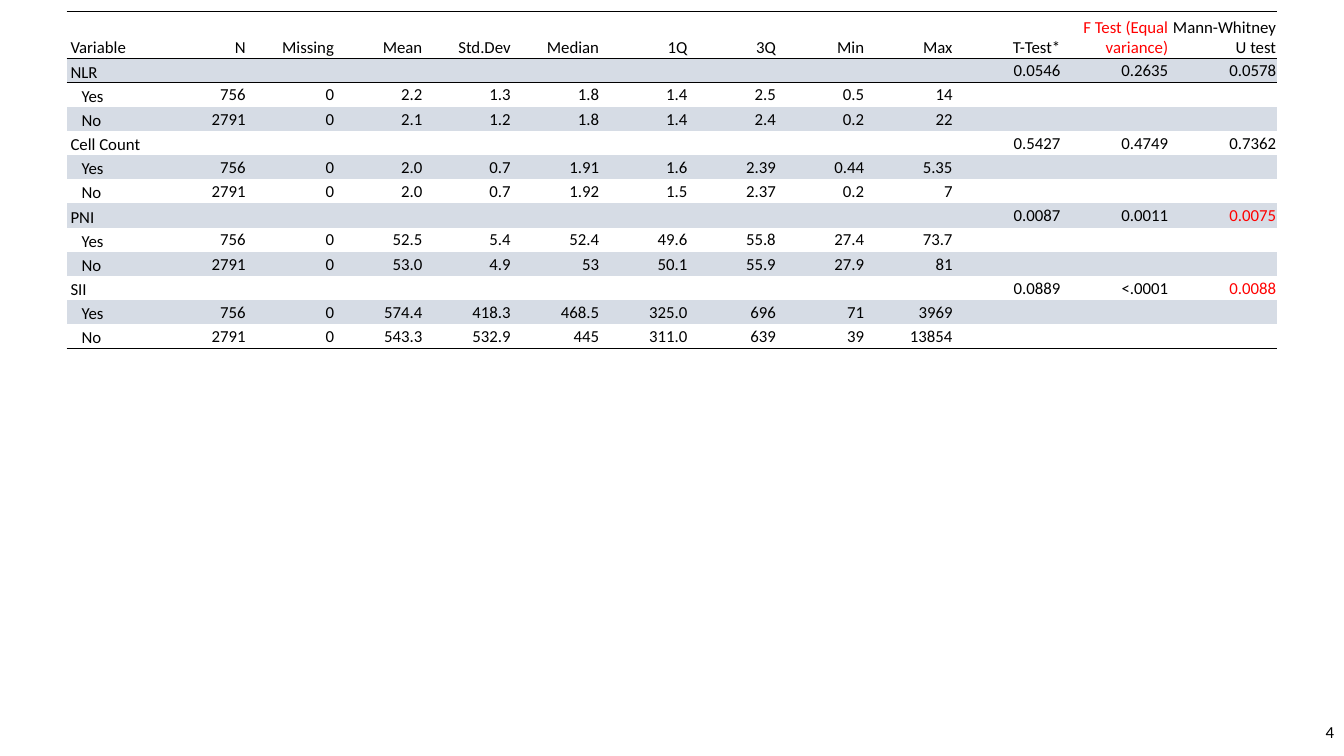
from lxml import etree
from pptx import Presentation
from pptx.dml.color import RGBColor
from pptx.enum.text import MSO_ANCHOR, PP_ALIGN
from pptx.oxml.ns import qn
from pptx.util import Inches, Pt

LEFT, RIGHT = PP_ALIGN.LEFT, PP_ALIGN.RIGHT
MIDDLE, BOTTOM = MSO_ANCHOR.MIDDLE, MSO_ANCHOR.BOTTOM
COLORS = {"text": "000000", "accent": "FF0000", "band": "D6DCE5"}
FONT_NAME = "Calibri"
FONT_SIZE = 12
PLAIN_STYLE = "{2D5ABB26-0587-4C30-8999-92F81FD0307C}"

HEADERS = [
    "Variable", "N", "Missing", "Mean", "Std.Dev", "Median", "1Q", "3Q",
    "Min", "Max", "T-Test*", "F Test (Equal variance)", "Mann-Whitney U test",
]
GROUPS = [
    ("NLR", ["0.0546", "0.2635", "0.0578"],
     ["756", "0", "2.2", "1.3", "1.8", "1.4", "2.5", "0.5", "14"],
     ["2791", "0", "2.1", "1.2", "1.8", "1.4", "2.4", "0.2", "22"]),
    ("Cell Count", ["0.5427", "0.4749", "0.7362"],
     ["756", "0", "2.0", "0.7", "1.91", "1.6", "2.39", "0.44", "5.35"],
     ["2791", "0", "2.0", "0.7", "1.92", "1.5", "2.37", "0.2", "7"]),
    ("PNI", ["0.0087", "0.0011", "0.0075"],
     ["756", "0", "52.5", "5.4", "52.4", "49.6", "55.8", "27.4", "73.7"],
     ["2791", "0", "53.0", "4.9", "53", "50.1", "55.9", "27.9", "81"]),
    ("SII", ["0.0889", "<.0001", "0.0088"],
     ["756", "0", "574.4", "418.3", "468.5", "325.0", "696", "71", "3969"],
     ["2791", "0", "543.3", "532.9", "445", "311.0", "639", "39", "13854"]),
]
ACCENTED = {"F Test (Equal variance)", "0.0075", "0.0088"}
TABLE_WIDTH, TABLE_HEIGHT = 12.01, 3.35
NAME_WIDTH, TEST_WIDTH = 0.91, 1.07
HEADER_HEIGHT = 0.47
STAT_COUNT, TEST_COUNT = 9, 3


def table_rows():
    rows = [HEADERS]
    for name, tests, yes, no in GROUPS:
        rows.append([name] + [""] * STAT_COUNT + tests)
        rows.append(["Yes"] + yes + [""] * TEST_COUNT)
        rows.append(["No"] + no + [""] * TEST_COUNT)
    return rows


def write_paragraph(para, text, align, color="text"):
    para.text = text
    para.alignment = align
    for span in para.runs:
        span.font.name = FONT_NAME
        span.font.size = Pt(FONT_SIZE)
        span.font.color.rgb = RGBColor.from_string(COLORS[color])
    if not text:
        etree.SubElement(para._p, qn("a:endParaRPr"), sz=str(FONT_SIZE * 100))


def add_border(cell, side):
    properties = cell._tc.get_or_add_tcPr()
    line = etree.SubElement(properties, qn("a:" + side), w=str(Pt(0.5)))
    fill = etree.SubElement(line, qn("a:solidFill"))
    etree.SubElement(fill, qn("a:srgbClr"), val=COLORS["text"])


def format_cell(cell, text, row, column, last_row):
    is_name = column == 0
    cell.margin_left = Inches(0.04 if is_name else 0.03)
    if text in ("Yes", "No"):
        cell.margin_left = Inches(0.15)
    cell.margin_right = cell.margin_top = Inches(0.01)
    cell.margin_bottom = 0
    cell.vertical_anchor = BOTTOM if is_name or row == 0 else MIDDLE
    write_paragraph(cell.text_frame.paragraphs[0], text,
                    LEFT if is_name else RIGHT,
                    "accent" if text in ACCENTED else "text")
    if row in (0, 1):
        add_border(cell, "lnT")
    if row in (0, last_row):
        add_border(cell, "lnB")
    if row % 2:
        cell.fill.solid()
        cell.fill.fore_color.rgb = RGBColor.from_string(COLORS["band"])
    else:
        cell.fill.background()


def add_statistics_table(page):
    rows = table_rows()
    last_row = len(rows) - 1
    frame = page.shapes.add_table(
        len(rows), len(HEADERS), Inches(0.66), Inches(0.11),
        Inches(TABLE_WIDTH), Inches(TABLE_HEIGHT))
    table = frame.table
    table.first_row = table.horz_banding = False
    table._tbl.tblPr.find(qn("a:tableStyleId")).text = PLAIN_STYLE

    stat_width = (TABLE_WIDTH - NAME_WIDTH - TEST_COUNT * TEST_WIDTH) / STAT_COUNT
    widths = [NAME_WIDTH] + [stat_width] * STAT_COUNT + [TEST_WIDTH] * TEST_COUNT
    for column, width in zip(table.columns, widths):
        column.width = Inches(width)
    body_height = (TABLE_HEIGHT - HEADER_HEIGHT) / last_row
    for index, row in enumerate(table.rows):
        row.height = Inches(body_height if index else HEADER_HEIGHT)

    for row, values in enumerate(rows):
        for column, text in enumerate(values):
            format_cell(table.cell(row, column), text, row, column, last_row)


def add_page_number(page, number):
    box = page.shapes.add_textbox(
        Inches(10.33), Inches(7.06), Inches(3), Inches(0.4))
    box.text_frame.word_wrap = True
    box.text_frame.vertical_anchor = MIDDLE
    write_paragraph(box.text_frame.paragraphs[0], number, RIGHT)


def main():
    deck = Presentation()
    deck.slide_width = Inches(13.33)
    deck.slide_height = Inches(7.5)
    page = deck.slides.add_slide(deck.slide_layouts[6])
    add_statistics_table(page)
    add_page_number(page, "4")
    deck.save("out.pptx")


if __name__ == "__main__":
    main()
